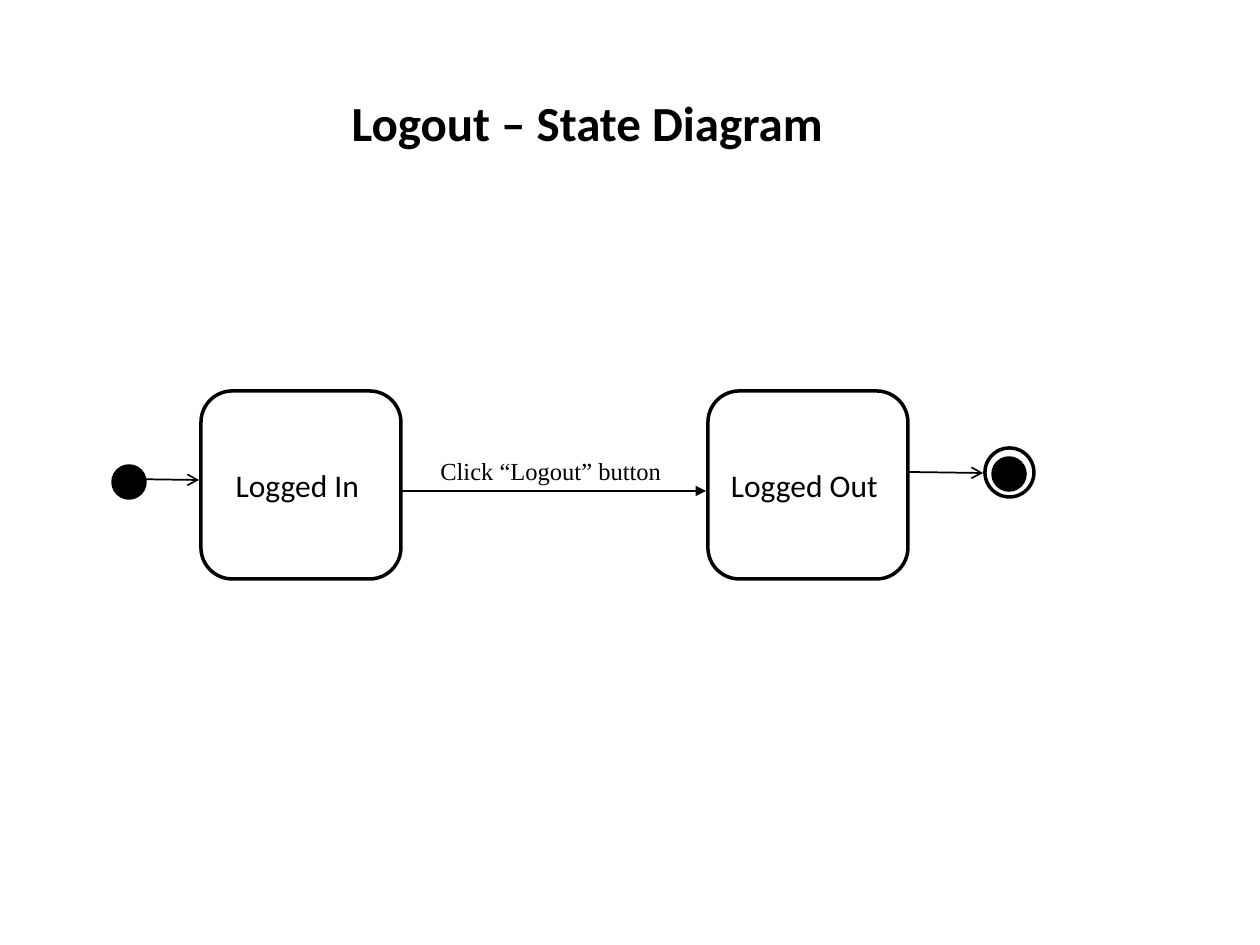
from dataclasses import dataclass

from lxml import etree
from pptx import Presentation
from pptx.dml.color import RGBColor
from pptx.enum.shapes import MSO_CONNECTOR, MSO_SHAPE
from pptx.enum.text import MSO_ANCHOR, PP_ALIGN
from pptx.oxml.ns import qn
from pptx.util import Emu, Pt

ROUNDED = MSO_SHAPE.ROUNDED_RECTANGLE
OVAL = MSO_SHAPE.OVAL
STRAIGHT = MSO_CONNECTOR.STRAIGHT
TOP, MIDDLE = MSO_ANCHOR.TOP, MSO_ANCHOR.MIDDLE
LEFT, CENTER = PP_ALIGN.LEFT, PP_ALIGN.CENTER
EMU_PER_PIXEL = 914400 / 126
TITLE_ONLY = 5


@dataclass(frozen=True)
class Theme:
    ink: RGBColor = RGBColor(0, 0, 0)
    paper: RGBColor = RGBColor(255, 255, 255)
    font: str = "Calibri"
    label_font: str = "Times New Roman"
    title_size: int = 28
    state_size: int = 18
    label_size: int = 14
    outline: float = 2


@dataclass(frozen=True)
class State:
    name: str
    left: int
    top: int = 391
    width: int = 200
    height: int = 188


@dataclass(frozen=True)
class Circle:
    left: int
    top: int
    size: int
    filled: bool


@dataclass(frozen=True)
class Arrow:
    start: tuple[int, int]
    end: tuple[int, int]
    head: str
    weight: float


THEME = Theme()
STATES = [State("Logged In ", 201), State("Logged Out ", 708)]
CIRCLES = [
    Circle(113, 466, 32, True),
    Circle(993, 458, 32, True),
    Circle(985, 448, 49, False),
]
ARROWS = [
    Arrow((126, 479), (199, 480), "arrow", 1),
    Arrow((908, 472), (983, 473), "arrow", 1),
    Arrow((401, 491), (706, 491), "triangle", 0.75),
]


def px(value: int) -> Emu:
    return Emu(round(value * EMU_PER_PIXEL))


def write(box, text: str, size: int, font: str, align=LEFT, anchor=TOP,
          bold: bool = False, wrap: bool = True) -> None:
    frame = box.text_frame
    frame.word_wrap = wrap
    frame.vertical_anchor = anchor
    para = frame.paragraphs[0]
    para.alignment = align
    span = para.add_run()
    span.text = text
    span.font.size = Pt(size)
    span.font.name = font
    span.font.bold = bold
    span.font.color.rgb = THEME.ink


def outline(shape, filled: bool) -> None:
    shape.shadow.inherit = False
    if filled:
        shape.fill.solid()
        shape.fill.fore_color.rgb = THEME.ink
    else:
        shape.fill.background()
    shape.line.color.rgb = THEME.ink
    shape.line.width = Pt(THEME.outline)


def draw_state(page, state: State) -> None:
    box = page.shapes.add_shape(ROUNDED, px(state.left), px(state.top),
                                px(state.width), px(state.height))
    outline(box, False)
    write(box, state.name, THEME.state_size, THEME.font, CENTER, MIDDLE)


def draw_circle(page, circle: Circle) -> None:
    shape = page.shapes.add_shape(OVAL, px(circle.left), px(circle.top),
                                  px(circle.size), px(circle.size))
    outline(shape, circle.filled)


def draw_arrow(page, arrow: Arrow) -> None:
    ends = [px(value) for value in arrow.start + arrow.end]
    connector = page.shapes.add_connector(STRAIGHT, *ends)
    connector.line.color.rgb = THEME.ink
    connector.line.width = Pt(arrow.weight)
    properties = connector.element.spPr
    etree.SubElement(properties.find(qn("a:ln")), qn("a:tailEnd"), type=arrow.head)
    etree.SubElement(properties, qn("a:effectLst"))


def draw_title(page, text: str) -> None:
    title = page.shapes.title
    title.left, title.top, title.width, title.height = px(339), px(86), px(673), px(72)
    write(title, text, THEME.title_size, THEME.font, bold=True, wrap=False)


def draw_label(page, text: str) -> None:
    label = page.shapes.add_textbox(px(428), px(450), px(252), px(42))
    write(label, text, THEME.label_size, THEME.label_font)


def build() -> None:
    deck = Presentation()
    deck.slide_width, deck.slide_height = px(1260), px(945)
    page = deck.slides.add_slide(deck.slide_layouts[TITLE_ONLY])
    page.background.fill.solid()
    page.background.fill.fore_color.rgb = THEME.paper
    draw_title(page, "Logout – State Diagram")
    for arrow in ARROWS:
        draw_arrow(page, arrow)
    for state in STATES:
        draw_state(page, state)
    for circle in CIRCLES:
        draw_circle(page, circle)
    draw_label(page, "Click “Logout” button")
    deck.save("out.pptx")


build()
